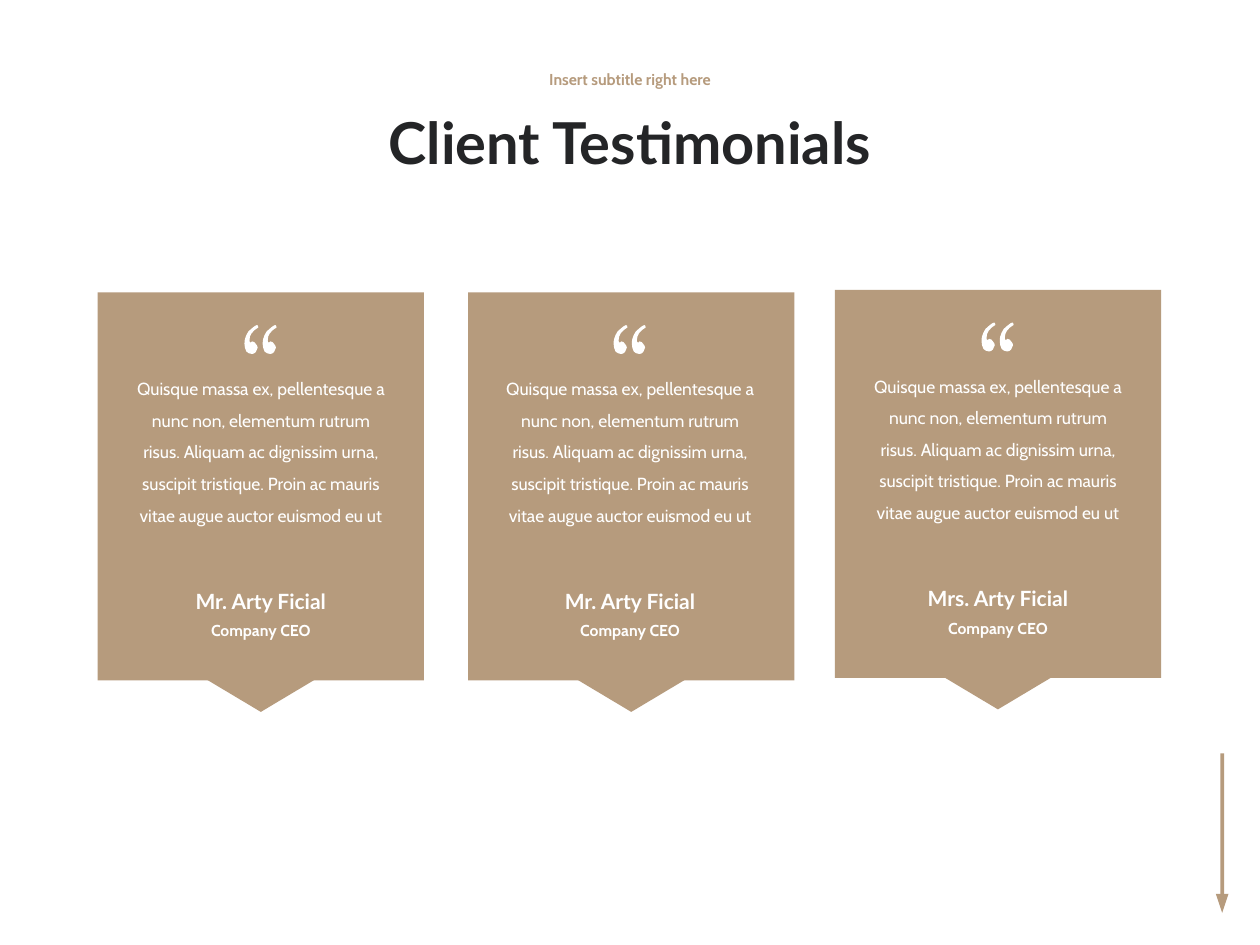
from lxml.etree import SubElement
from pptx import Presentation
from pptx.dml.color import RGBColor
from pptx.enum.shapes import MSO_SHAPE
from pptx.enum.text import MSO_ANCHOR, MSO_AUTO_SIZE, PP_ALIGN
from pptx.oxml.ns import qn
from pptx.util import Inches, Pt

TAN, INK, WHITE = "B69B7D", "242527", "FFFFFF"
PANEL_WIDTH, PANEL_HEIGHT = 2.59, 3.08
TESTIMONIAL = (
    "Quisque massa ex, pellentesque a nunc non, elementum rutrum risus. "
    "Aliquam ac dignissim urna, suscipit tristique. "
    "Proin ac mauris vitae augue auctor euismod eu ut"
)
CARDS = [
    (2.07, 2.07, 2.32, "Mr. Arty Ficial"),
    (5.01, 5.00, 2.32, "Mr. Arty Ficial"),
    (7.92, 7.92, 2.30, "Mrs. Arty Ficial"),
]
COMMA_START = (110, 20)
COMMA_CURVES = [
    ((60, 50), (40, 80), (40, 120)),
    ((40, 130), (40, 140), (50, 140)),
    ((50, 140), (60, 130), (60, 130)),
    ((75, 130), (85, 140), (90, 150)),
    ((100, 160), (105, 170), (105, 180)),
    ((105, 200), (100, 205), (90, 215)),
    ((80, 225), (70, 230), (60, 230)),
    ((40, 230), (25, 220), (15, 210)),
    ((5, 190), (0, 170), (0, 150)),
    ((0, 120), (5, 100), (15, 80)),
    ((25, 60), (35, 40), (55, 30)),
    ((80, 10), (90, 0), (100, 0)),
    ((105, 0), (110, 10), (110, 20)),
]
COMMA_STEP, MARK_WIDTH = 145, 0.26


def color(value):
    return RGBColor.from_string(value)


def apply(target, values):
    for name, value in values.items():
        setattr(target, name, value)


def paint(shape, fill):
    shape.shadow.inherit = False
    shape.fill.solid()
    shape.fill.fore_color.rgb = color(fill)
    shape.line.fill.background()


def add_block(group, kind, center, middle, width, height, rotation):
    block = group.shapes.add_shape(
        kind, Inches(center - width / 2), Inches(middle - height / 2),
        Inches(width), Inches(height)
    )
    block.rotation = rotation
    paint(block, TAN)


def add_text(slide, text, center, top, width, height, font, size, ink,
             bold=True, frame_format=None, paragraph_format=None):
    box = slide.shapes.add_textbox(
        Inches(center - width / 2), Inches(top), Inches(width), Inches(height)
    )
    frame = box.text_frame
    apply(frame, {"word_wrap": True, **(frame_format or {})})
    paragraph = frame.paragraphs[0]
    apply(paragraph, {"alignment": PP_ALIGN.CENTER, **(paragraph_format or {})})
    run = paragraph.add_run()
    run.text = text
    apply(run.font, {"name": font, "size": Pt(size), "bold": bold})
    run.font.color.rgb = color(ink)


def shifted(points, step):
    return [(x + step, y) for x, y in points]


def bend(segment, points):
    segment.tag = qn("a:cubicBezTo")
    for point in list(segment):
        segment.remove(point)
    for x, y in points:
        SubElement(segment, qn("a:pt"), x=str(x), y=str(y))


def add_quote_mark(slide, center, top):
    steps = (0, COMMA_STEP)
    curves = [shifted(curve, step) for step in steps for curve in COMMA_CURVES]
    ends = [curve[-1] for curve in COMMA_CURVES]
    x, y = COMMA_START
    outline = slide.shapes.build_freeform(x, y, scale=Inches(0.001))
    outline.add_line_segments(ends, close=True)
    outline.move_to(x + COMMA_STEP, y)
    outline.add_line_segments(shifted(ends, COMMA_STEP), close=True)
    mark = outline.convert_to_shape(Inches(center - MARK_WIDTH / 2), Inches(top))
    segments = list(mark.element.iter(qn("a:lnTo")))
    for segment, curve in zip(segments, curves):
        parent = segment.getparent()
        cubic = SubElement(parent, qn("a:cubicBezTo"))
        bend(cubic, curve)
        parent.replace(segment, cubic)
    paint(mark, WHITE)


def add_panel(slide, center, top):
    panel = slide.shapes.add_group_shape()
    add_block(panel, MSO_SHAPE.RECTANGLE, center, top + PANEL_HEIGHT / 2,
              PANEL_HEIGHT, PANEL_WIDTH, 90)
    add_block(panel, MSO_SHAPE.ISOSCELES_TRIANGLE, center, top + 3.2, 0.87, 0.26, 180)


def add_card_text(slide, center, top, person):
    fit = {"auto_size": MSO_AUTO_SIZE.SHAPE_TO_FIT_TEXT}
    add_text(slide, person, center, top + 2.3, 2.19, 0.3,
             "Lato", 12, WHITE, frame_format=fit)
    add_text(slide, "Company CEO", center, top + 2.56, 1.49, 0.25,
             "Cabin", 9, WHITE, frame_format=fit)
    add_text(slide, TESTIMONIAL, center, top + 0.55, 2.2, 1.86,
             "Cabin", 10, WHITE, bold=False, frame_format=fit,
             paragraph_format={"line_spacing": 1.5})
    add_quote_mark(slide, center, top + 0.26)


def add_heading(slide):
    middle = {"vertical_anchor": MSO_ANCHOR.MIDDLE}
    add_text(slide, "Client Testimonials", 5, 0.64, 5.63, 1.03, "Lato", 33, INK,
             frame_format=middle, paragraph_format={"line_spacing": 0.9})
    add_text(slide, "Insert subtitle right here", 5, 0.45, 5.63, 0.38,
             "Cabin", 9, TAN, frame_format=middle,
             paragraph_format={"line_spacing": 0.9, "space_before": Pt(10)})


def add_down_arrow(slide):
    arrow = slide.shapes.add_group_shape()
    add_block(arrow, MSO_SHAPE.RECTANGLE, 9.7, 6.54, 1.12, 0.03, 90)
    add_block(arrow, MSO_SHAPE.ISOSCELES_TRIANGLE, 9.7, 7.17, 0.1, 0.15, 180)


def main():
    deck = Presentation()
    deck.slide_width, deck.slide_height = Inches(10), Inches(7.5)
    slide = deck.slides.add_slide(deck.slide_layouts[6])
    add_down_arrow(slide)
    add_heading(slide)
    for panel_center, _, top, _ in CARDS:
        add_panel(slide, panel_center, top)
    for _, text_center, top, person in CARDS:
        add_card_text(slide, text_center, top, person)
    deck.save("out.pptx")


if __name__ == "__main__":
    main()
